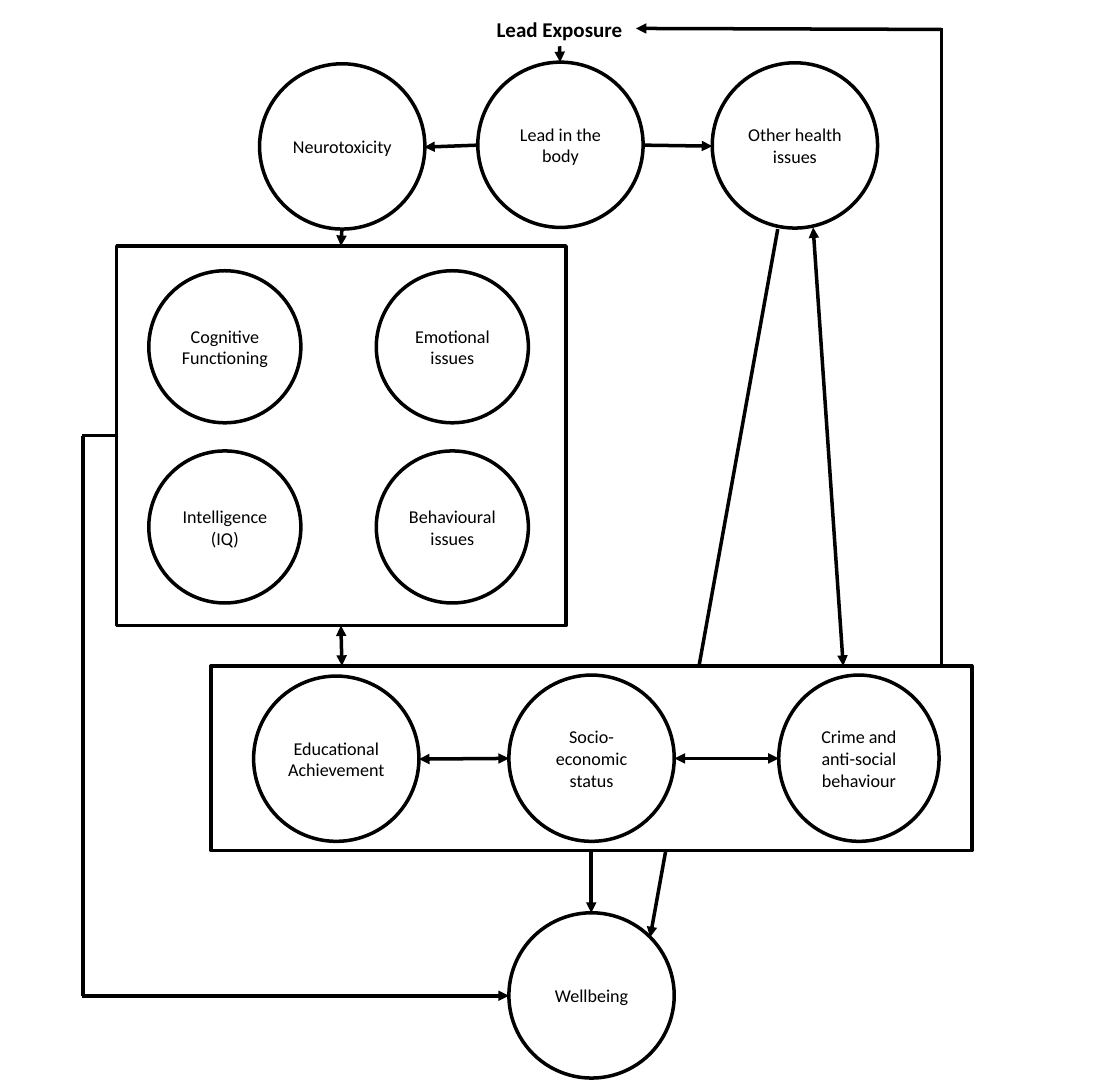
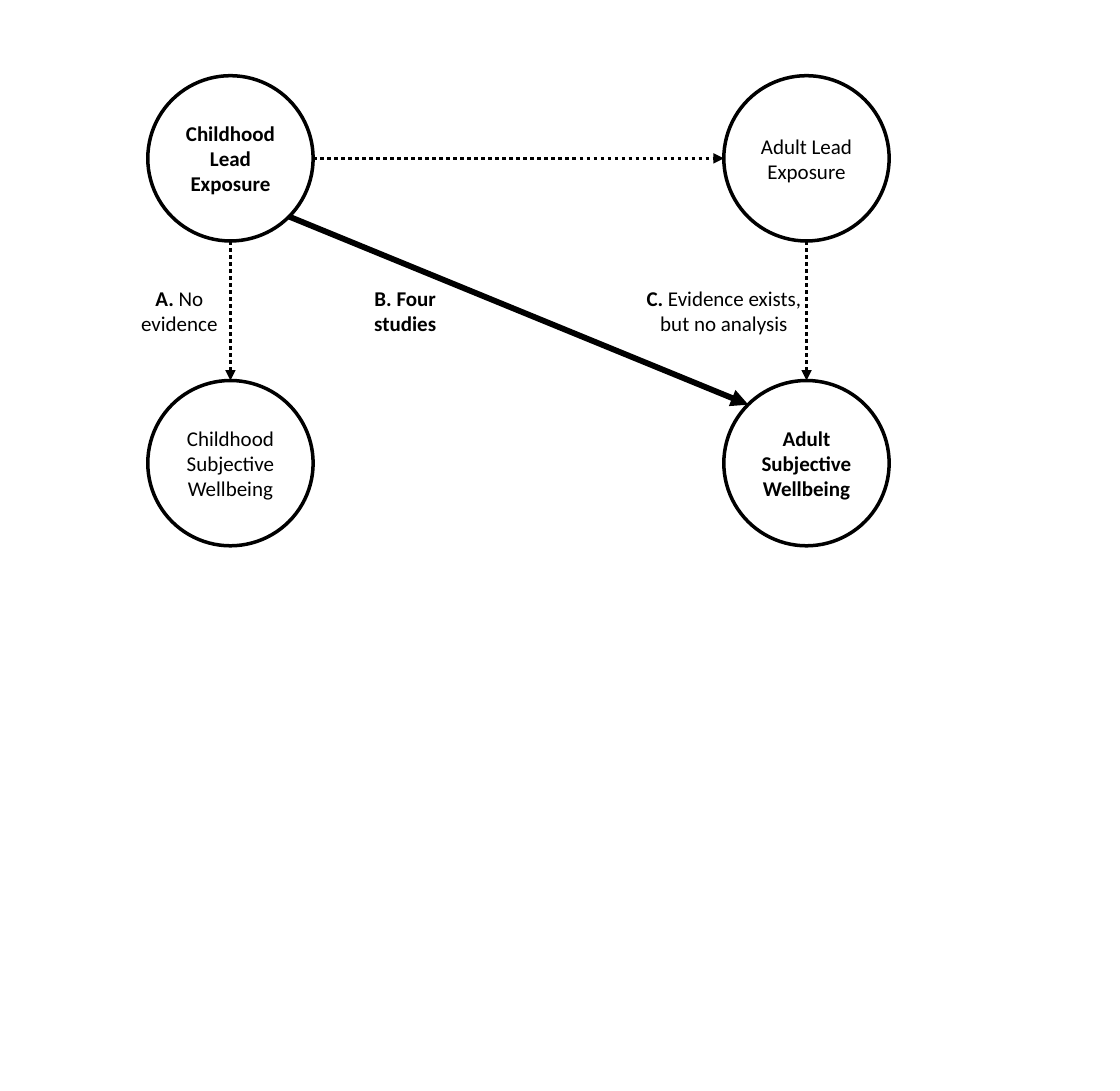
from pptx import Presentation
from pptx.dml.color import RGBColor
from pptx.enum.dml import MSO_LINE_DASH_STYLE as Dash
from pptx.enum.shapes import MSO_CONNECTOR, MSO_SHAPE as Shape
from pptx.enum.text import MSO_ANCHOR, MSO_AUTO_SIZE, PP_ALIGN
from pptx.oxml import parse_xml
from pptx.oxml.ns import nsdecls
from pptx.util import Cm, Pt

INK = RGBColor.from_string("000000")
PAPER = RGBColor.from_string("FFFFFF")
FONT = "Calibri"
STROKE = 3
CIRCLE = 5


def add_box(page, kind, left, top, width, height, text="", size=18, bold=False):
    box = page.shapes.add_shape(kind, Cm(left), Cm(top), Cm(width), Cm(height))
    box.shadow.inherit = False
    box.fill.solid()
    box.fill.fore_color.rgb = PAPER
    box.line.color.rgb = INK
    box.line.width = Pt(STROKE)
    frame = box.text_frame
    frame.word_wrap = True
    frame.vertical_anchor = MSO_ANCHOR.MIDDLE
    frame.text = text
    for para in frame.paragraphs:
        para.alignment = PP_ALIGN.CENTER
        para.font.name = FONT
        para.font.size = Pt(size)
        para.font.bold = bold
        para.font.color.rgb = INK


def add_line(page, start, end, heads=("tailEnd",), weight=STROKE, dash=None):
    line = page.shapes.add_connector(
        MSO_CONNECTOR.STRAIGHT, *map(Cm, start), *map(Cm, end))
    line.line.color.rgb = INK
    line.line.width = Pt(weight)
    if dash:
        line.line.dash_style = dash
    for head in heads:
        line.line._get_or_add_ln().append(
            parse_xml(f'<a:{head} {nsdecls("a")} type="triangle"/>'))
    line._element.spPr.append(parse_xml(f'<a:effectLst {nsdecls("a")}/>'))


deck = Presentation()
deck.slide_width, deck.slide_height = Cm(33.87), Cm(33)
pathways, evidence = [deck.slides.add_slide(deck.slide_layouts[6]) for _ in range(2)]

add_line(pathways, (23.52, 6.93), (19.66, 28.35))
add_box(pathways, Shape.RECTANGLE, 3.53, 7.44, 13.59, 11.48)
add_box(pathways, Shape.RECTANGLE, 6.38, 20.14, 23.01, 5.59)

for text, left, top, width, height in [
    ("Lead in the body", 14.45, 1.88, CIRCLE, CIRCLE),
    ("Neurotoxicity", 7.85, 1.93, CIRCLE, CIRCLE),
    ("Other health issues", 21.54, 1.9, CIRCLE, CIRCLE),
    ("Educational Achievement", 7.67, 20.45, CIRCLE, CIRCLE),
    ("Socio-economic status", 15.39, 20.42, CIRCLE, 5.03),
    ("Crime and anti-social behaviour", 23.55, 20.42, 4.85, 5.03),
    ("Wellbeing", 15.39, 27.61, CIRCLE, CIRCLE),
]:
    add_box(pathways, Shape.OVAL, left, top, width, height, text, 15.5)

effects = ["Cognitive Functioning", "Emotional issues",
           "Intelligence (IQ)", "Behavioural issues"]
for index, text in enumerate(effects):
    row, column = divmod(index, 2)
    add_box(pathways, Shape.OVAL, 4.5 + 6.88 * column, 8.19 + 5.45 * row,
            4.6, 4.6, text, 15.5)

for start, end in [
    ((14.45, 4.39), (12.83, 4.45)),
    ((16.92, 1.4), (16.94, 1.88)),
    ((19.46, 4.39), (21.54, 4.42)),
    ((10.34, 6.93), (10.31, 7.44)),
    ((28.47, 0.89), (19.23, 0.86)),
    ((17.88, 25.73), (17.88, 27.61)),
    ((2.49, 30.12), (15.39, 30.12)),
]:
    add_line(pathways, start, end)

for start, end in [
    ((10.31, 18.92), (10.34, 20.14)),
    ((24.59, 6.88), (25.5, 20.14)),
    ((15.39, 22.94), (12.67, 22.96)),
    ((23.55, 22.94), (20.4, 22.94)),
]:
    add_line(pathways, start, end, heads=("headEnd", "tailEnd"))

for start, end in [
    ((28.47, 20.12), (28.47, 0.84)),
    ((2.49, 13.18), (3.53, 13.18)),
    ((2.51, 13.18), (2.51, 30.12)),
]:
    add_line(pathways, start, end, heads=())

child, adult = 4.47, 21.89
exposure, wellbeing = 2.29, 11.51
for text, left, top, bold in [
    ("Childhood Lead Exposure", child, exposure, True),
    ("Adult Lead Exposure", adult, exposure, False),
    ("Childhood Subjective\nWellbeing", child, wellbeing, False),
    ("Adult Subjective\nWellbeing", adult, wellbeing, True),
]:
    add_box(evidence, Shape.OVAL, left, top, CIRCLE, CIRCLE, text, bold=bold)

radius = CIRCLE / 2
add_line(evidence, (child + CIRCLE, exposure + radius), (adult, exposure + radius),
         dash=Dash.ROUND_DOT)
for left in (child, adult):
    add_line(evidence, (left + radius, exposure + CIRCLE), (left + radius, wellbeing),
             dash=Dash.ROUND_DOT)
add_line(evidence, (8.74, 6.55), (22.63, 12.24), weight=5)

for page, left, top, width, height, strong, plain in [
    (pathways, 11.84, 0.38, 10.16, 1.02, "Lead Exposure", ""),
    (evidence, 3.94, 8.51, 2.97, 1.8, "A. ", "No evidence"),
    (evidence, 10.77, 8.51, 2.97, 1.8, "B. Four studies", ""),
    (evidence, 19.2, 8.51, 5.38, 1.8, "C. ", "Evidence exists, but no analysis"),
]:
    label = page.shapes.add_textbox(Cm(left), Cm(top), Cm(width), Cm(height))
    label.text_frame.word_wrap = True
    label.text_frame.auto_size = MSO_AUTO_SIZE.SHAPE_TO_FIT_TEXT
    para = label.text_frame.paragraphs[0]
    para.alignment = PP_ALIGN.CENTER
    para.font.name = FONT
    para.font.size = Pt(18)
    para.font.color.rgb = INK
    for text, bold in ((strong, True), (plain, False)):
        if text:
            span = para.add_run()
            span.text = text
            span.font.bold = bold

deck.save("out.pptx")
